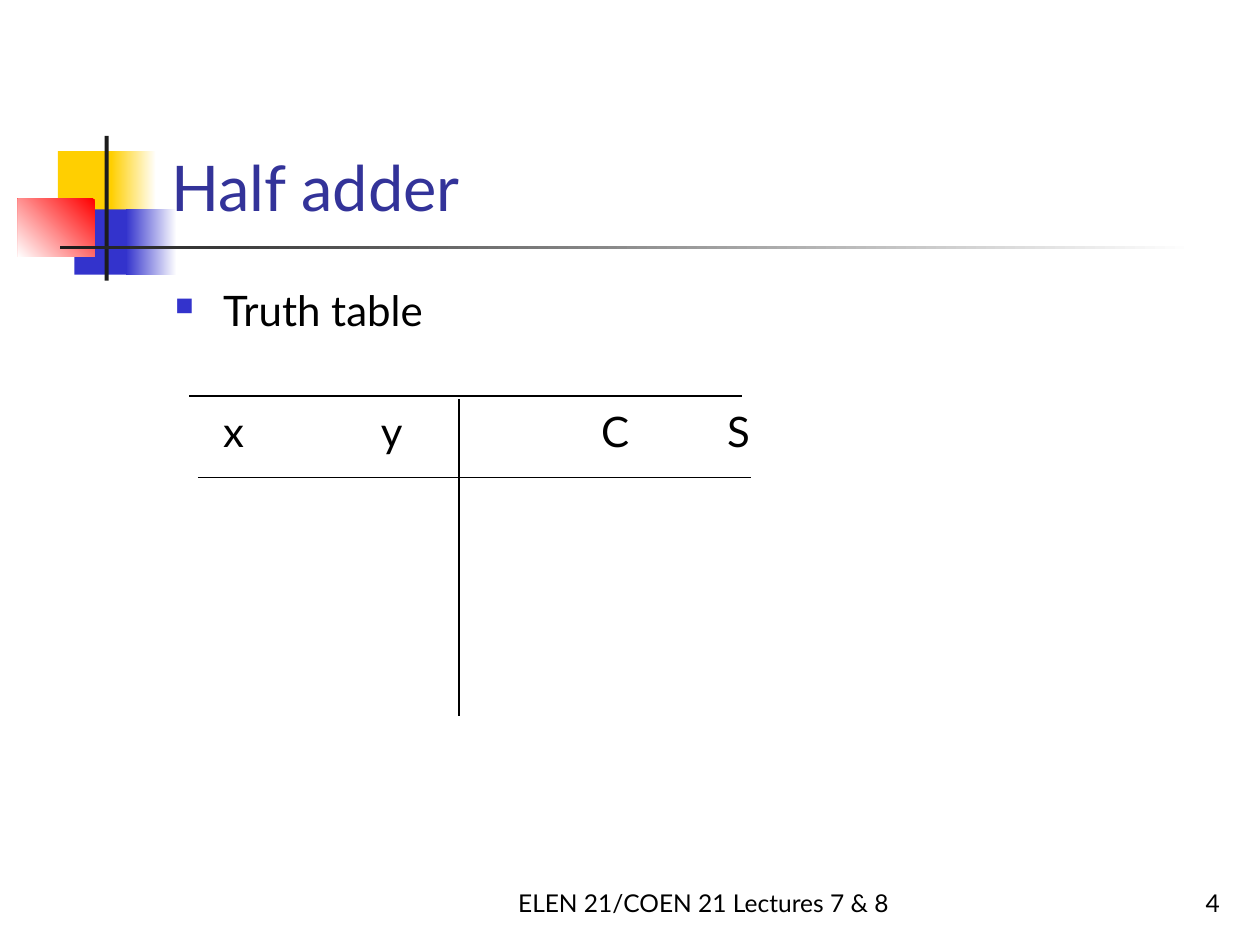
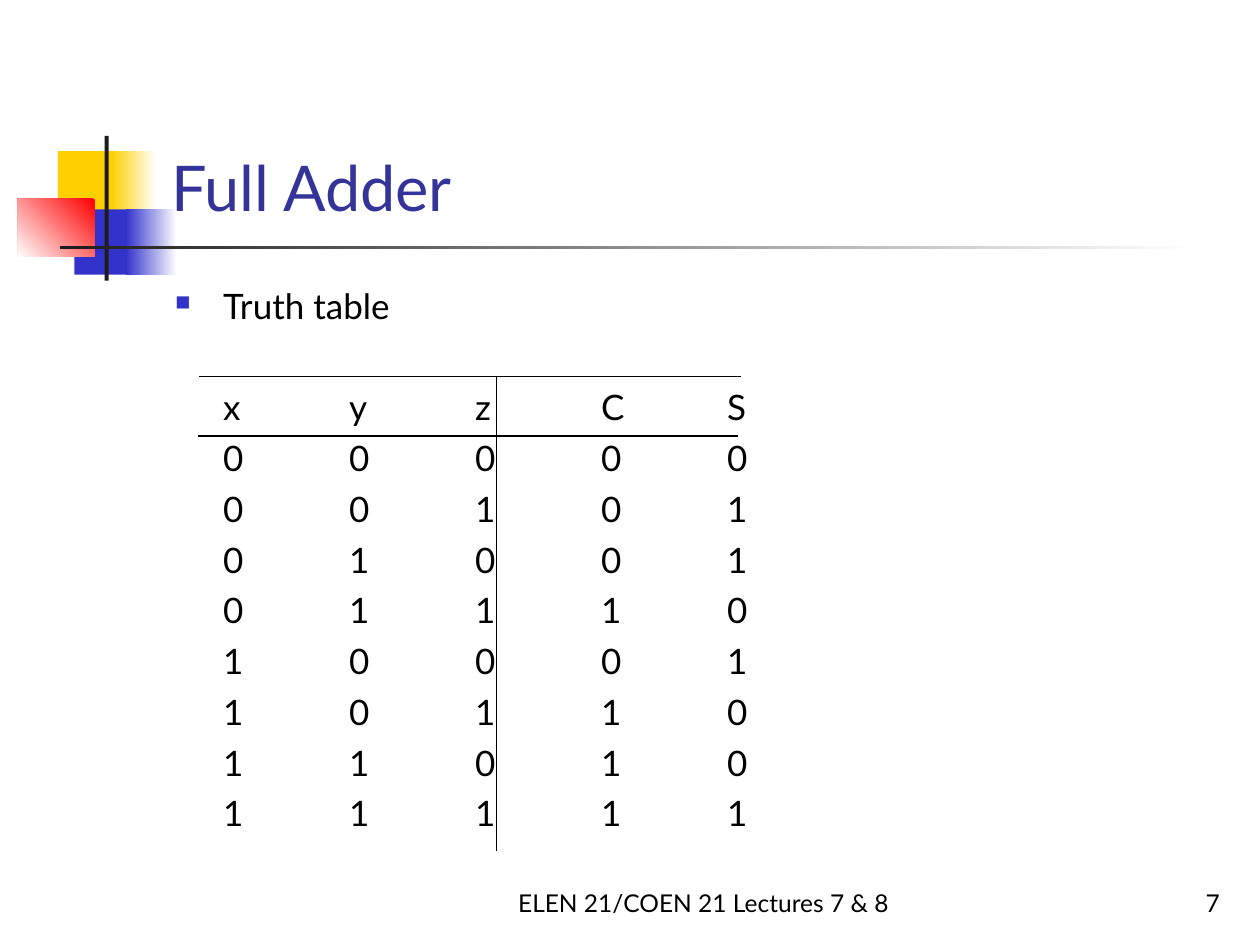
from lxml.etree import SubElement
from pptx import Presentation
from pptx.dml.color import RGBColor
from pptx.enum.shapes import MSO_CONNECTOR as Connector, MSO_SHAPE as Shape
from pptx.enum.text import MSO_ANCHOR as Anchor, PP_ALIGN as Align
from pptx.oxml.ns import qn
from pptx.util import Cm, Pt

# Content: lengths in cm, text sizes in points
FOOTER = "ELEN 21/COEN 21 Lectures 7 & 8"
SLIDES = [
    {
        "title": "Half adder", "number": "4", "bullet": "Truth table", "size": 24,
        "rows": ["xyCS"],
        "columns": [3.18, 4.44, 2.54, 2.54],
        "rules": [(3.81, 7.98, 14.96, 7.98), (3.99, 9.63, 15.14, 9.63),
                  (9.25, 8.05, 9.25, 14.43)],
    },
    {
        "title": "Full Adder", "number": "7", "bullet": "Truth table", "size": 20,
        "rows": ["xyzCS", "00000", "00101", "01001", "01110",
                 "10001", "10110", "11010", "11111"],
        "columns": [2.54] * 5,
        "rules": [(4.01, 7.59, 14.94, 7.59), (3.99, 8.79, 14.88, 8.79),
                  (10.01, 7.59, 10.01, 17.15)],
    },
]

# Shared look
FONT = "Lato"
BLACK, WHITE, INK = "000000", "FFFFFF", "1C1C1C"
YELLOW, BLUE, RED, TITLE_BLUE = "FFCF01", "3333CC", "FF0000", "333399"
NO_GRID_STYLE = "{2D5ABB26-0587-4C30-8999-92F81FD0307C}"

# Left, top, width, height, colours (one, or gradient start and end), angle
EMBLEM = [
    (1.17, 3.05, 1.22, 1.32, [YELLOW], 0),
    (2.24, 3.05, 0.91, 1.32, [WHITE, YELLOW], 180),
    (1.5, 4.22, 1.17, 1.32, [BLUE], 0),
    (2.54, 4.22, 1.02, 1.32, [WHITE, BLUE], 180),
    (0.36, 4.01, 1.55, 1.17, [RED, WHITE], 225),
    (2.11, 2.74, 0.08, 2.92, [INK], 0),
    (1.22, 4.95, 22.86, 0.08, [WHITE, INK], 180),
]

TITLE_BOX = (3.2, 0.58, 21.64, 4.06)
BULLET_BOX = (3.28, 5.61, 21.59, 1.3)
FOOTER_BOX = (10.16, 17.35, 8.05, 1.27)
NUMBER_BOX = (19.56, 17.35, 5.28, 1.27)
INSET_TOP = 0.13
BULLET_INDENT = 0.97
TABLE_LEFT = 4.5


def rgb(code):
    return RGBColor.from_string(code)


def cms(*lengths):
    return [Cm(length) for length in lengths]


def write(frame, text, size, color=BLACK, align=Align.LEFT):
    paragraph = frame.paragraphs[0]
    paragraph.alignment = align
    run = paragraph.add_run()
    run.text = text
    for name, value in {"name": FONT, "size": Pt(size)}.items():
        setattr(run.font, name, value)
    run.font.color.rgb = rgb(color)
    return paragraph


def add_text(slide, box, text, size, anchor=Anchor.BOTTOM, **look):
    frame = slide.shapes.add_textbox(*cms(*box)).text_frame
    for name, value in {"word_wrap": True, "vertical_anchor": anchor}.items():
        setattr(frame, name, value)
    return write(frame, text, size, **look)


def add_emblem(slide):
    for *box, colors, angle in EMBLEM:
        block = slide.shapes.add_shape(Shape.RECTANGLE, *cms(*box))
        block.shadow.inherit = False
        block.line.fill.background()
        if len(colors) == 1:
            block.fill.solid()
            block.fill.fore_color.rgb = rgb(colors[0])
            continue
        block.fill.gradient()
        block.fill.gradient_angle = angle
        for stop, color in zip(block.fill.gradient_stops, colors):
            stop.color.rgb = rgb(color)


def add_bullet(slide, text, size):
    paragraph = add_text(slide, BULLET_BOX, text, size, anchor=Anchor.TOP)
    props = paragraph._p.get_or_add_pPr()
    props.set("marL", str(Cm(BULLET_INDENT)))
    props.set("indent", str(-Cm(BULLET_INDENT)))
    bullet_color = SubElement(props, qn("a:buClr"))
    SubElement(bullet_color, qn("a:srgbClr"), val=BLUE)
    SubElement(props, qn("a:buSzPct"), val="60000")
    SubElement(props, qn("a:buChar"), char="■")


def add_truth_table(slide, rows, columns, size):
    # A row is one text line (1.2) plus a quarter line of space
    row_height = size * 1.45 * 2.54 / 72
    top = BULLET_BOX[1] + INSET_TOP + 2 * row_height
    box = cms(TABLE_LEFT, top, sum(columns), row_height * len(rows))
    table = slide.shapes.add_table(len(rows), len(columns), *box).table
    table.first_row = table.horz_banding = False
    table._tbl.tblPr.find(qn("a:tableStyleId")).text = NO_GRID_STYLE
    for column, width in zip(table.columns, columns):
        column.width = Cm(width)
    for row, values in zip(table.rows, rows):
        row.height = Cm(row_height)
        for cell, value in zip(row.cells, values):
            for side in ("left", "top", "right", "bottom"):
                setattr(cell, f"margin_{side}", 0)
            cell.fill.background()
            write(cell.text_frame, value, size)


def add_rules(slide, rules):
    for ends in rules:
        rule = slide.shapes.add_connector(Connector.STRAIGHT, *cms(*ends))
        rule.line.color.rgb = rgb(BLACK)
        rule.line.width = Pt(0.75)
        SubElement(rule._element.spPr, qn("a:effectLst"))


def main():
    deck = Presentation()
    deck.slide_width, deck.slide_height = cms(25.4, 19.05)
    for page in SLIDES:
        slide = deck.slides.add_slide(deck.slide_layouts[6])
        add_emblem(slide)
        add_text(slide, FOOTER_BOX, FOOTER, 14, align=Align.CENTER)
        add_text(slide, TITLE_BOX, page["title"], 36, color=TITLE_BLUE)
        add_bullet(slide, page["bullet"], page["size"])
        add_truth_table(slide, page["rows"], page["columns"], page["size"])
        add_rules(slide, page["rules"])
        add_text(slide, NUMBER_BOX, page["number"], 14, align=Align.RIGHT)
    deck.save("out.pptx")


if __name__ == "__main__":
    main()
